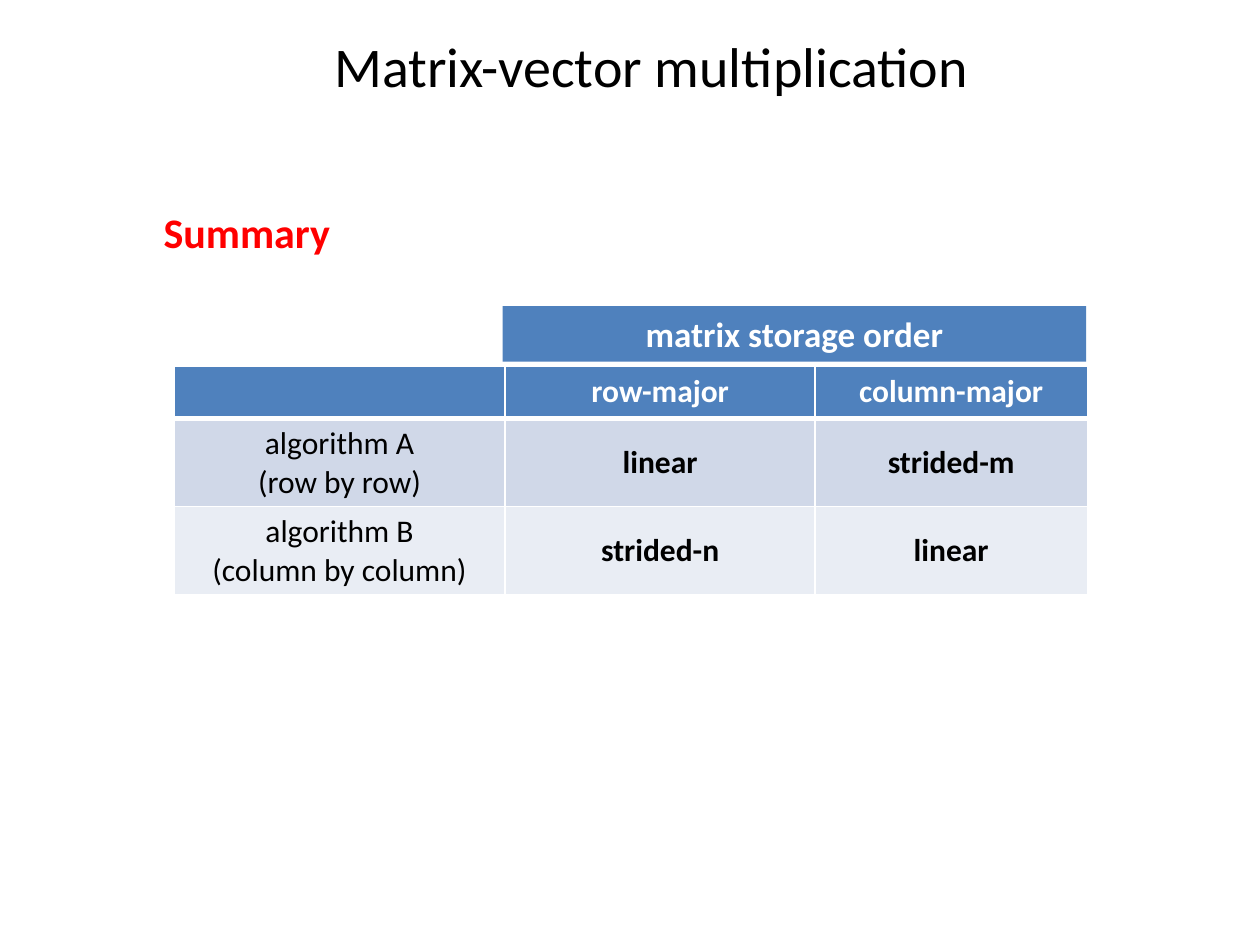
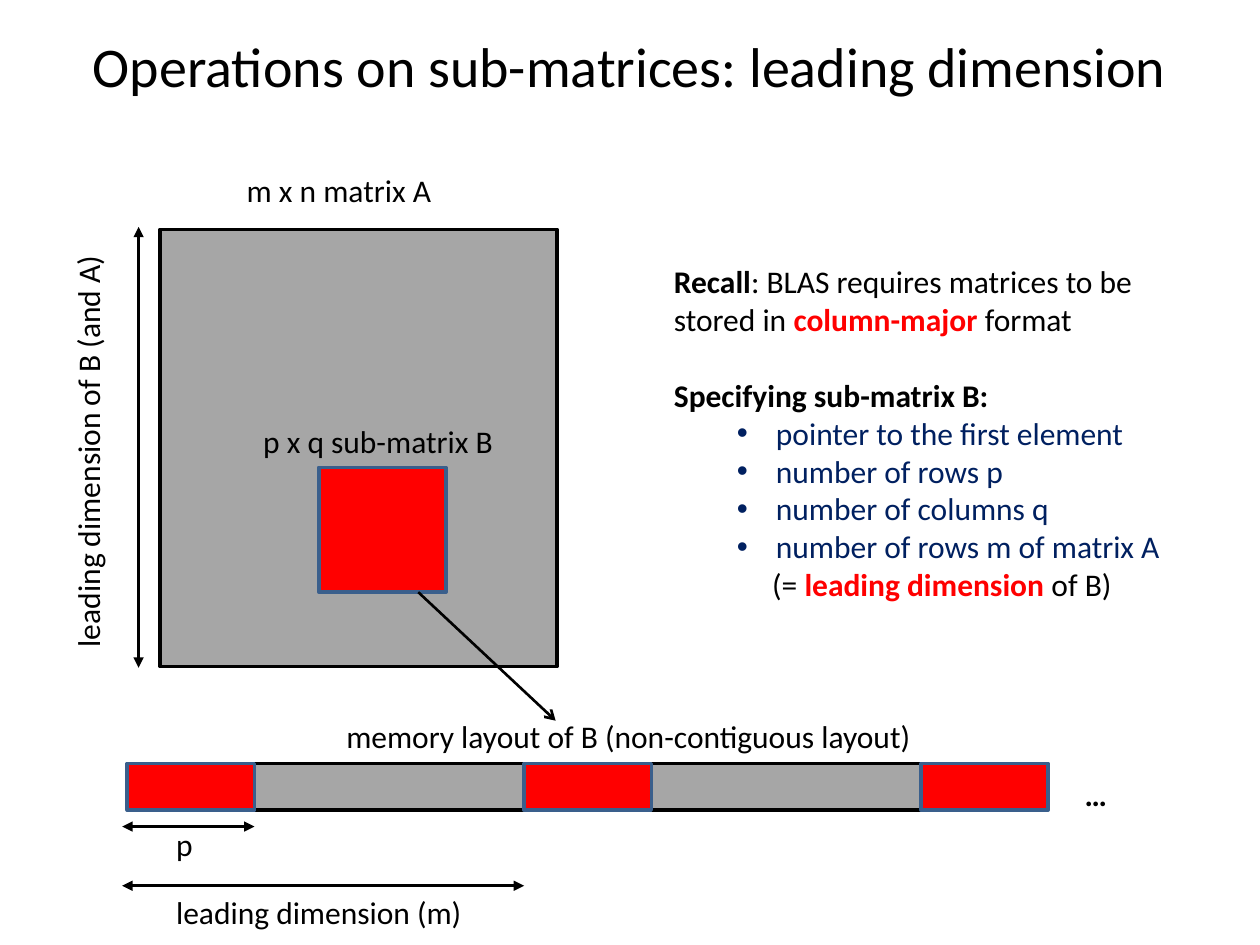
from lxml import etree
from pptx import Presentation
from pptx.dml.color import RGBColor
from pptx.enum.shapes import MSO_CONNECTOR, MSO_SHAPE
from pptx.enum.text import MSO_ANCHOR, MSO_AUTO_SIZE, PP_ALIGN
from pptx.oxml.ns import qn
from pptx.util import Inches, Pt

# Shared look
FONT = "Calibri"
BLACK = RGBColor(0x00, 0x00, 0x00)
WHITE = RGBColor(0xFF, 0xFF, 0xFF)
RED = RGBColor(0xFF, 0x00, 0x00)
NAVY = RGBColor(0x00, 0x20, 0x60)
GREY = RGBColor(0xA6, 0xA6, 0xA6)
HEADER_BLUE = RGBColor(0x4F, 0x81, 0xBD)
OUTLINE_BLUE = RGBColor(0x3A, 0x5F, 0x8C)
BANDS = (RGBColor(0xD0, 0xD8, 0xE8), RGBColor(0xE9, 0xED, 0xF4))


def style(font, size=18, color=BLACK, bold=False):
    font.name, font.size, font.bold = FONT, Pt(size), bold
    font.color.rgb = color


def write_runs(paragraph, *pieces):
    """Each piece is (text, color, bold)."""
    for text, color, bold in pieces:
        run = paragraph.add_run()
        run.text = text
        style(run.font, color=color, bold=bold)


def add_label(slide, text, left, top, width, height=0.4, rotation=0, **look):
    label = slide.shapes.add_textbox(*map(Inches, (left, top, width, height)))
    label.rotation = rotation
    frame = label.text_frame
    frame.word_wrap = False
    frame.auto_size = MSO_AUTO_SIZE.SHAPE_TO_FIT_TEXT
    frame.text = text
    style(frame.paragraphs[0].runs[0].font, **look)


def add_title(slide, text, left=0.5):
    title = slide.shapes.add_textbox(*map(Inches, (left, 0.17, 9, 0.7)))
    frame = title.text_frame
    frame.word_wrap = True
    frame.vertical_anchor = MSO_ANCHOR.MIDDLE
    frame.text = text
    frame.paragraphs[0].alignment = PP_ALIGN.CENTER
    style(frame.paragraphs[0].runs[0].font, size=32)


def add_block(slide, left, top, width, height, fill, outline=None):
    block = slide.shapes.add_shape(
        MSO_SHAPE.RECTANGLE, *map(Inches, (left, top, width, height)))
    block.shadow.inherit = False
    block.fill.solid()
    block.fill.fore_color.rgb = fill
    if outline is None:
        block.line.fill.background()
    else:
        block.line.color.rgb = outline
        block.line.width = Pt(2)
    return block


def add_arrow(slide, start, end, tail="triangle", head=None):
    arrow = slide.shapes.add_connector(
        MSO_CONNECTOR.STRAIGHT, *map(Inches, (*start, *end)))
    arrow.line.color.rgb = BLACK
    arrow.line.width = Pt(1.5)
    line = arrow.line._get_or_add_ln()
    for end_tag, kind in (("a:headEnd", head), ("a:tailEnd", tail)):
        if kind:
            etree.SubElement(line, qn(end_tag), type=kind)
    etree.SubElement(arrow._element.spPr, qn("a:effectLst"))


def set_borders(cell, top, bottom):
    properties = cell._tc.get_or_add_tcPr()
    for side, points in (("L", 1), ("R", 1), ("T", top), ("B", bottom)):
        line = etree.SubElement(properties, qn(f"a:ln{side}"), w=str(Pt(points)))
        fill = etree.SubElement(line, qn("a:solidFill"))
        etree.SubElement(fill, qn("a:srgbClr"), val=str(WHITE))


def fill_cell(cell, text, fill, color, bold, anchor):
    cell.fill.solid()
    cell.fill.fore_color.rgb = fill
    cell.vertical_anchor = anchor
    cell.text = text
    for paragraph in cell.text_frame.paragraphs:
        paragraph.alignment = PP_ALIGN.CENTER
        style(paragraph.font, color=color, bold=bold)
        for run in paragraph.runs:
            style(run.font, color=color, bold=bold)


def add_access_table(slide):
    rows = (
        ("", "row-major", "column-major"),
        ("algorithm A\n(row by row)", "linear", "strided-m"),
        ("algorithm B\n(column by column)", "strided-n", "linear"),
    )
    table = slide.shapes.add_table(
        3, 3, *map(Inches, (1.38, 2.91, 7.25, 1.81))).table
    for column, width in zip(table.columns, (2.63, 2.46, 2.16)):
        column.width = Inches(width)
    for row, height in zip(table.rows, (0.41, 0.7, 0.7)):
        row.height = Inches(height)
    for r, texts in enumerate(rows):
        is_header = r == 0
        for c, text in enumerate(texts):
            cell = table.cell(r, c)
            set_borders(cell, top=3 if r == 1 else 1, bottom=3 if is_header else 1)
            fill_cell(
                cell, text,
                fill=HEADER_BLUE if is_header else BANDS[r - 1],
                color=WHITE if is_header else BLACK,
                bold=is_header or c > 0,
                anchor=MSO_ANCHOR.TOP if is_header or c == 0 else MSO_ANCHOR.MIDDLE)


def indent(paragraph, left, first=0, bullet=None):
    properties = paragraph._p.get_or_add_pPr()
    properties.set("marL", str(Inches(left)))
    properties.set("indent", str(Inches(first)))
    if bullet:
        etree.SubElement(properties, qn("a:buFont"), typeface="Arial")
        etree.SubElement(properties, qn("a:buChar"), char=bullet)


def add_recall_notes(slide):
    notes = slide.shapes.add_textbox(*map(Inches, (5.25, 2.03, 4.41, 2.83)))
    frame = notes.text_frame
    frame.word_wrap = True
    write_runs(frame.paragraphs[0],
               ("Recall", BLACK, True),
               (": BLAS requires matrices to be stored in ", BLACK, False),
               ("column-major", RED, True),
               (" format", BLACK, False))
    heading = frame.add_paragraph()
    heading.space_before = Pt(22)
    write_runs(heading, ("Specifying sub-matrix B:", BLACK, True))
    for argument in ("pointer to the first element", "number of rows p",
                     "number of columns q", "number of rows m of matrix A"):
        item = frame.add_paragraph()
        indent(item, 0.81, -0.31, "•")
        write_runs(item, (argument, NAVY, False))
    remark = frame.add_paragraph()
    indent(remark, 0.78)
    write_runs(remark, ("(= ", BLACK, False),
               ("leading dimension", RED, True),
               (" of B)", BLACK, False))


def add_memory_strip(slide, left, top, used, pitch, count=3):
    """Used column pieces, with the skipped part of A between them."""
    height = 0.37
    for i in range(count):
        start = left + i * pitch
        if i < count - 1:
            add_block(slide, start + used, top, pitch - used, height, GREY, BLACK)
    for i in range(count):
        add_block(slide, left + i * pitch, top, used, height, RED, OUTLINE_BLUE)


def build_summary(slide):
    add_title(slide, "Matrix-vector multiplication", left=0.67)
    add_access_table(slide)
    add_label(slide, "Summary", 1.2, 1.59, 1.54, 0.5, size=24, color=RED, bold=True)
    # Heading over the two storage columns
    storage_heading = add_block(slide, 3.99, 2.43, 4.63, 0.44, HEADER_BLUE)
    frame = storage_heading.text_frame
    frame.vertical_anchor = MSO_ANCHOR.TOP
    frame.text = "matrix storage order"
    frame.paragraphs[0].alignment = PP_ALIGN.CENTER
    style(frame.paragraphs[0].runs[0].font, size=20, color=WHITE, bold=True)


def build_sub_matrices(slide):
    matrix_width, sub_width = 3.15, 1.01
    strip_left, arrow_left = 1.01, 0.97
    add_title(slide, "Operations on sub-matrices: leading dimension")
    # Matrix A with sub-matrix B
    add_block(slide, 1.27, 1.82, matrix_width, 3.47, GREY, BLACK)
    add_block(slide, 2.53, 3.71, sub_width, 0.99, RED, OUTLINE_BLUE)
    add_label(slide, "m x n matrix A", 1.86, 1.31, 1.68)
    add_label(slide, "p x q sub-matrix B", 1.99, 3.3, 2.05)
    add_arrow(slide, (1.1, 1.8), (1.1, 5.3), head="triangle")
    add_label(slide, "leading dimension of B (and A)", -0.98, 3.36, 3.35, rotation=270)
    add_recall_notes(slide)
    # Memory layout
    add_arrow(slide, (3.32, 4.7), (4.41, 5.72), tail="arrow")
    add_label(slide, "memory layout of B (non-contiguous layout)", 2.65, 5.64, 4.73)
    add_memory_strip(slide, strip_left, 6.06, sub_width, matrix_width)
    add_label(slide, "…", 8.51, 6.1, 0.38, bold=True)
    # Dimensions under the strip
    for text, length, arrow_top, label_top, label_width in (
            ("p", sub_width, 6.56, 6.5, 0.34),
            ("leading dimension (m)", matrix_width, 7.03, 7.04, 2.5)):
        add_arrow(slide, (strip_left + length, arrow_top), (arrow_left, arrow_top),
                  head="triangle")
        add_label(slide, text, 1.3, label_top, label_width)


def main():
    deck = Presentation()
    deck.slide_width, deck.slide_height = Inches(10), Inches(7.5)
    blank = deck.slide_layouts[6]
    for build in (build_summary, build_sub_matrices):
        build(deck.slides.add_slide(blank))
    deck.save("out.pptx")


if __name__ == "__main__":
    main()
